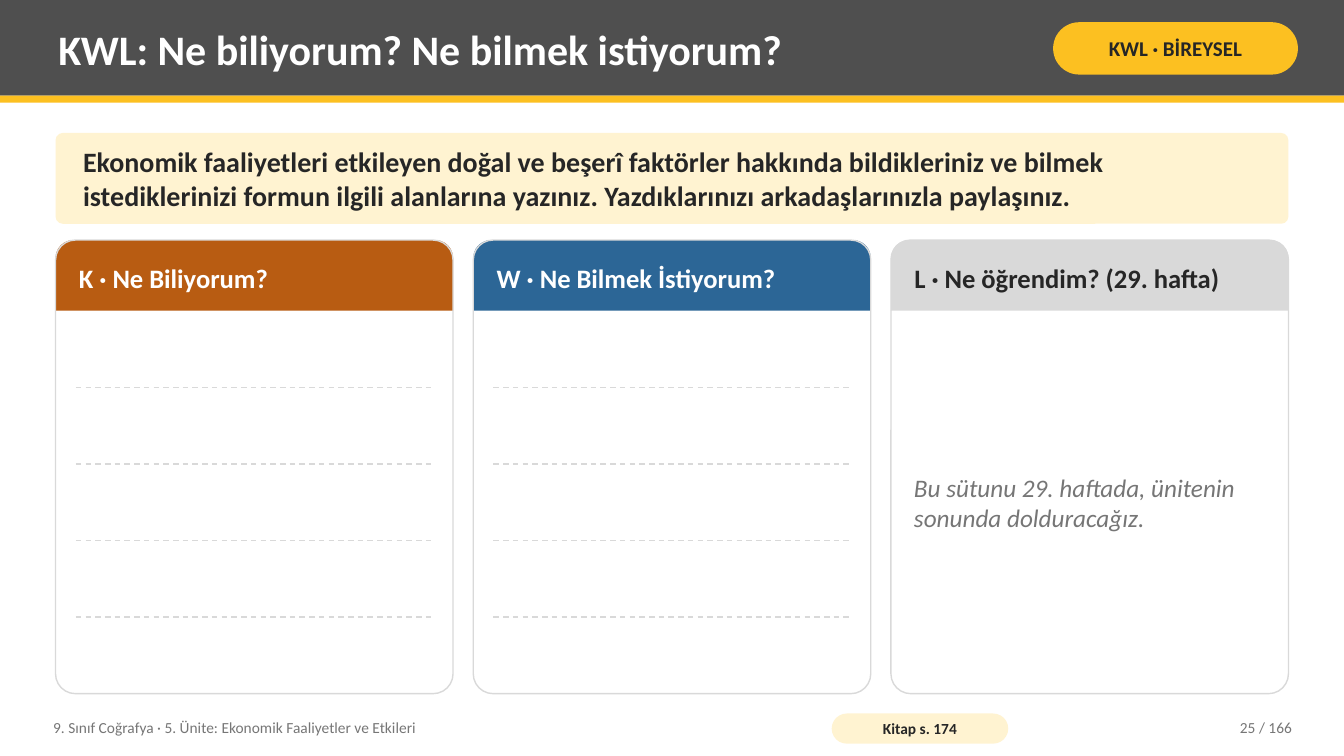
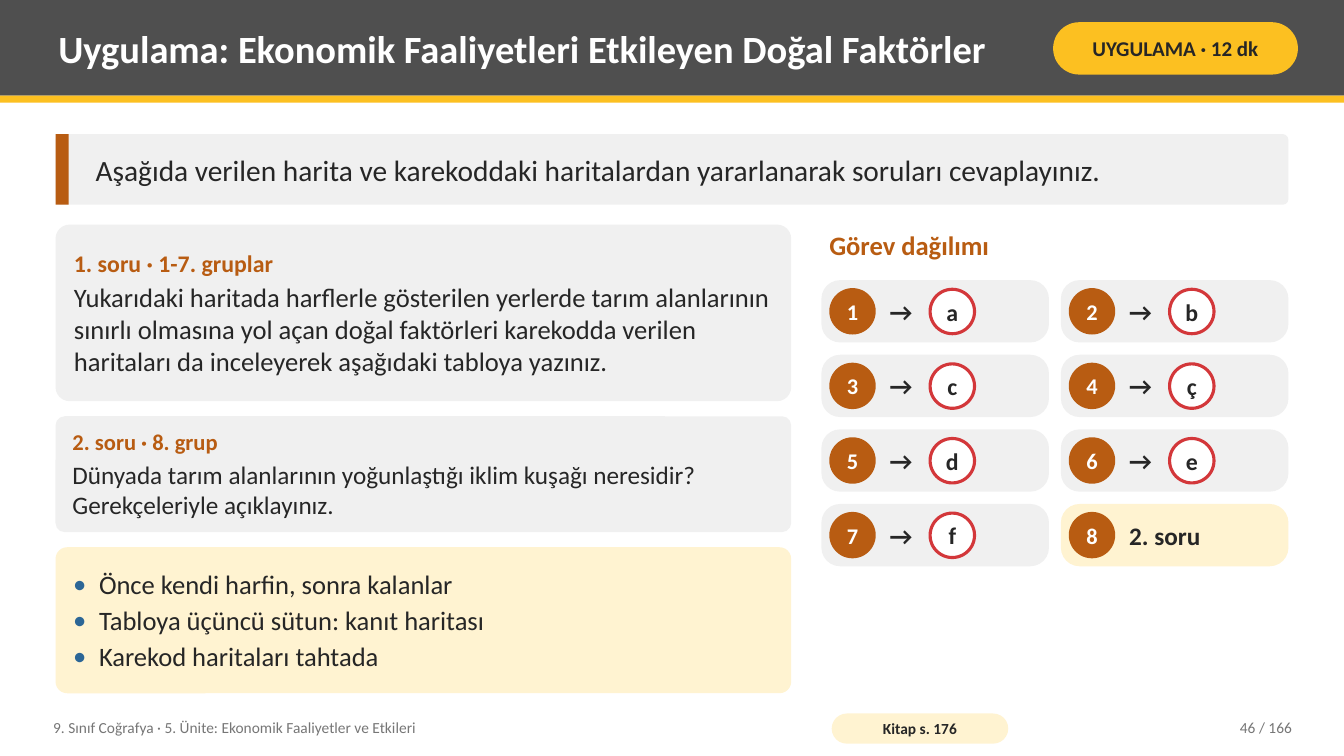
"""Build two geography lesson slides: a KWL form and a group task."""
from lxml import etree
from pptx import Presentation
from pptx.dml.color import RGBColor
from pptx.enum.dml import MSO_LINE
from pptx.enum.shapes import MSO_CONNECTOR, MSO_SHAPE
from pptx.enum.text import MSO_ANCHOR, PP_ALIGN
from pptx.oxml.ns import qn
from pptx.util import Cm, Pt

RECT = MSO_SHAPE.RECTANGLE
ROUND = MSO_SHAPE.ROUNDED_RECTANGLE
TAB = MSO_SHAPE.ROUND_2_SAME_RECTANGLE
OVAL = MSO_SHAPE.OVAL
LINE = MSO_CONNECTOR.STRAIGHT
DASH = MSO_LINE.DASH
TOP, MIDDLE = MSO_ANCHOR.TOP, MSO_ANCHOR.MIDDLE
LEFT, CENTER, RIGHT = PP_ALIGN.LEFT, PP_ALIGN.CENTER, PP_ALIGN.RIGHT

WHITE = RGBColor(0xFF, 0xFF, 0xFF)
DARK = RGBColor(0x4F, 0x4F, 0x4F)
INK = RGBColor(0x26, 0x26, 0x26)
MUTED = RGBColor(0x76, 0x76, 0x76)
RULE = RGBColor(0xD9, 0xD9, 0xD9)
PALE = RGBColor(0xF0, 0xF0, 0xF0)
GOLD = RGBColor(0xFC, 0xC0, 0x21)
CREAM = RGBColor(0xFF, 0xF3, 0xD1)
RUST = RGBColor(0xB8, 0x5C, 0x12)
BLUE = RGBColor(0x2C, 0x66, 0x96)
RED = RGBColor(0xD3, 0x37, 0x3A)

FONT = "Calibri"
WIDE, HIGH = 33.87, 19.05
EDGE, SPAN = 1.4, 31.07
UNIT = "9. Sınıf Coğrafya · 5. Ünite: Ekonomik Faaliyetler ve Etkileri"
PAGES = 166


def add_run(para, text, size, color=INK, bold=False, slant=False):
    run = para.add_run()
    run.text = text
    font = run.font
    font.name, font.size = FONT, Pt(size)
    font.bold, font.italic = bold, slant
    font.color.rgb = color


def set_frame(shape, side=0.2, end=0.1, left=None, anchor=MIDDLE, wrap=True):
    frame = shape.text_frame
    frame.word_wrap = wrap
    frame.vertical_anchor = anchor
    frame.margin_left = Cm(side if left is None else left)
    frame.margin_right = Cm(side)
    frame.margin_top = frame.margin_bottom = Cm(end)
    return frame


def write(shape, text, size, color=INK, bold=False, slant=False, align=LEFT, **frame):
    para = set_frame(shape, **frame).paragraphs[0]
    para.alignment = align
    add_run(para, text, size, color, bold, slant)


def add_box(slide, kind, x, y, w, h, fill=None, line=None, weight=1, round_by=None):
    box = slide.shapes.add_shape(kind, Cm(x), Cm(y), Cm(w), Cm(h))
    box.shadow.inherit = False
    if fill is None:
        box.fill.background()
    else:
        box.fill.solid()
        box.fill.fore_color.rgb = fill
    if line is None:
        box.line.fill.background()
    else:
        box.line.color.rgb = line
        box.line.width = Pt(weight)
    if round_by is not None:
        box.adjustments[0] = round_by
    return box


def add_text(slide, x, y, w, h, *args, **style):
    write(slide.shapes.add_textbox(Cm(x), Cm(y), Cm(w), Cm(h)), *args, **style)


def add_dash(slide, x, y, w):
    dash = slide.shapes.add_connector(LINE, Cm(x), Cm(y), Cm(x + w), Cm(y))
    dash.line.color.rgb = RULE
    dash.line.width = Pt(1)
    dash.line.dash_style = DASH
    etree.SubElement(dash._element.spPr, qn("a:effectLst"))


def add_dot(para, color, indent):
    props = para._p.get_or_add_pPr()
    props.set("marL", str(Cm(indent)))
    props.set("indent", str(-Cm(indent)))
    tint = etree.SubElement(props, qn("a:buClr"))
    etree.SubElement(tint, qn("a:srgbClr"), val=str(color))
    etree.SubElement(props, qn("a:buFont"), typeface=FONT)
    etree.SubElement(props, qn("a:buChar"), char="•")


def add_page(deck, title, size, badge, book, page):
    slide = deck.slides.add_slide(deck.slide_layouts[6])
    add_box(slide, RECT, 0, 0, WIDE, 2.41, DARK)
    add_box(slide, RECT, 0, 2.41, WIDE, 0.18, GOLD)
    add_text(slide, 1.27, 0.18, 24.77, 2.08, title, size, WHITE, True)
    pill = add_box(slide, ROUND, 26.54, 0.56, 6.17, 1.32, GOLD, round_by=0.5)
    write(pill, badge, 15, bold=True, align=CENTER, side=0.13, end=0.05)
    add_text(slide, 1.14, 17.88, 19.3, 0.91, UNIT, 11, MUTED)
    pill = add_box(slide, ROUND, 20.96, 17.98, 4.45, 0.76, CREAM, round_by=0.5)
    write(pill, f"Kitap s. {book}", 11, bold=True, align=CENTER, end=0)
    add_text(slide, 28.7, 17.88, 4.06, 0.91, f"{page} / {PAGES}", 11, MUTED, align=RIGHT)
    return slide


def add_column(slide, x, w, title, fill, color, note=None):
    y, h, head, rows = 6.05, 11.43, 1.78, 5
    tab = add_box(slide, TAB, x, y, w, head, fill, round_by=0.25)
    write(tab, title, 19, color, True, side=0.46)
    add_box(slide, ROUND, x, y, w, h, line=RULE, round_by=0.05)
    if note:
        add_text(slide, x + 0.38, y + 2.16, w - 0.76, 8.89, note, 18, MUTED, slant=True)
        return
    step = (h - head) / rows
    for row in range(1, rows):
        add_dash(slide, x + 0.51, y + head + row * step, w - 1.02)


def add_card(slide, y, h, title, body, size, gap):
    card = add_box(slide, ROUND, EDGE, y, 18.54, h, PALE, round_by=0.08)
    frame = set_frame(card, side=0.36, end=0.2)
    head = frame.paragraphs[0]
    head.alignment = LEFT
    head.space_after = Pt(gap)
    add_run(head, title, round(size * 0.895, 1), RUST, True)
    para = frame.add_paragraph()
    para.alignment = LEFT
    add_run(para, body, size)


def add_list(slide, y, h, items):
    card = add_box(slide, ROUND, EDGE, y, 18.54, h, CREAM, round_by=0.08)
    frame = set_frame(card, side=0.36, end=0.2)
    for index, item in enumerate(items):
        para = frame.add_paragraph() if index else frame.paragraphs[0]
        para.alignment = LEFT
        if index < len(items) - 1:
            para.space_after = Pt(3)
        add_dot(para, BLUE, 0.65)
        add_run(para, item, 19)


def add_disc(slide, x, y, d, text, size, color, fill, line=None):
    disc = add_box(slide, OVAL, x, y, d, d, fill, line, 2.25)
    write(disc, text, size, color, True, align=CENTER, side=0, end=0, wrap=False)


def add_task(slide, x, y, w, group, letter):
    h = 1.57
    add_box(slide, ROUND, x, y, w, h, PALE if letter else CREAM, round_by=0.3)
    add_disc(slide, x + 0.2, y + 0.2, 1.17, str(group), 16, WHITE, RUST)
    if letter:
        add_text(slide, x + 1.52, y, 1.27, h, "→", 18, bold=True)
        add_disc(slide, x + 2.74, y + 0.23, 1.12, letter, 17, INK, WHITE, RED)
    else:
        add_text(slide, x + 1.52, y, 4.09, h, "2. soru", 18, bold=True)


def make_form(deck):
    slide = add_page(deck, "KWL: Ne biliyorum? Ne bilmek istiyorum?", 30,
                     "KWL · BİREYSEL", 174, 25)
    bar = add_box(slide, ROUND, EDGE, 3.35, SPAN, 2.29, CREAM, round_by=0.08)
    write(bar, "Ekonomik faaliyetleri etkileyen doğal ve beşerî faktörler hakkında "
          "bildikleriniz ve bilmek istediklerinizi formun ilgili alanlarına yazınız. "
          "Yazdıklarınızı arkadaşlarınızla paylaşınız.", 20, bold=True, side=0.64, end=0.2)
    columns = (
        ("K · Ne Biliyorum?", RUST, WHITE),
        ("W · Ne Bilmek İstiyorum?", BLUE, WHITE),
        ("L · Ne öğrendim? (29. hafta)", RULE, INK,
         "Bu sütunu 29. haftada, ünitenin sonunda dolduracağız."),
    )
    gap = 0.51
    w = (SPAN - 2 * gap) / 3
    for index, column in enumerate(columns):
        add_column(slide, EDGE + index * (w + gap), w, *column)


def make_task(deck):
    slide = add_page(deck, "Uygulama: Ekonomik Faaliyetleri Etkileyen Doğal Faktörler",
                     27.5, "UYGULAMA · 12 dk", 176, 46)
    bar = add_box(slide, ROUND, EDGE, 3.38, SPAN, 1.78, PALE, round_by=0.08)
    write(bar, "Aşağıda verilen harita ve karekoddaki haritalardan yararlanarak "
          "soruları cevaplayınız.", 21, left=0.97)
    add_box(slide, RECT, EDGE, 3.38, 0.33, 1.78, RUST)
    add_card(slide, 5.66, 4.45, "1. soru · 1-7. gruplar",
             "Yukarıdaki haritada harflerle gösterilen yerlerde tarım alanlarının sınırlı "
             "olmasına yol açan doğal faktörleri karekodda verilen haritaları da "
             "inceleyerek aşağıdaki tabloya yazınız.", 19, 3)
    add_card(slide, 10.49, 2.92, "2. soru · 8. grup",
             "Dünyada tarım alanlarının yoğunlaştığı iklim kuşağı neresidir? "
             "Gerekçeleriyle açıklayınız.", 18, 2.8)
    add_list(slide, 13.79, 3.68, ("Önce kendi harfin, sonra kalanlar",
                                  "Tabloya üçüncü sütun: kanıt haritası",
                                  "Karekod haritaları tahtada"))
    x, gap = 20.7, 0.3
    add_text(slide, x, 5.66, 11.76, 1.14, "Görev dağılımı", 19, RUST, True, anchor=TOP)
    w = (EDGE + SPAN - x - gap) / 2
    for index, letter in enumerate(("a", "b", "c", "ç", "d", "e", "f", None)):
        row, column = divmod(index, 2)
        add_task(slide, x + column * (w + gap), 7.06 + row * 1.88, w, index + 1, letter)


def main():
    deck = Presentation()
    deck.slide_width, deck.slide_height = Cm(WIDE), Cm(HIGH)
    make_form(deck)
    make_task(deck)
    deck.save("out.pptx")


if __name__ == "__main__":
    main()
